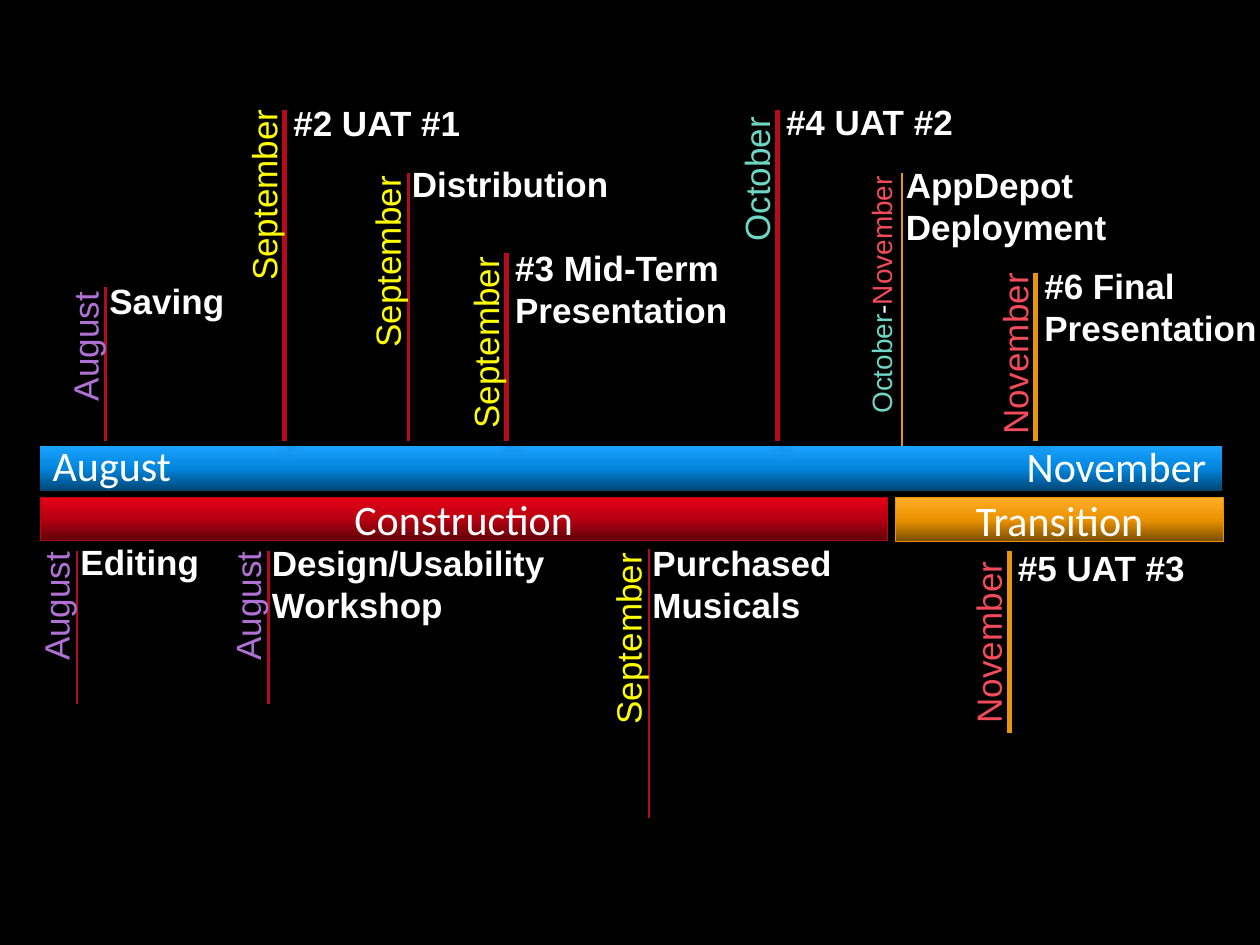
from pptx import Presentation, oxml, util as u
from pptx.dml.color import RGBColor
from pptx.enum import shapes, text
from pptx.oxml import ns

WIDTH, HEIGHT = 10, 7.5
COLORS = {
    "black": "000000", "white": "FFFFFF",
    "construction": "B50B1B", "transition": "E8950E",
    "construction edge": "B50717", "transition edge": "E89308",
    "August": "B070D4", "September": "FFFF00",
    "October": "6ED6C4", "November": "F44B5B", "-": "FFFFFF",
}
SOFT = {"alpha": 55, "blur": 7, "dist": 4, "angle": 35}
DEEP = {"alpha": 75, "blur": 10, "dist": 5, "angle": 90}
HEADING = {"name": "Calibri", "size": u.Pt(24)}
TITLE = {"name": "Arial", "size": u.Pt(20), "bold": True}
MONTH = {"name": "Arial", "size": u.Pt(20)}
SMALL_MONTH = {"name": "Arial", "size": u.Pt(16)}

BARS = [
    ("", (0.32, 3.54, 9.38, 0.36), ("014573", "0285DD", "1AA3FF"), None, DEEP),
    ("Construction", (0.32, 3.95, 6.72, 0.34), ("5F0009", "B70011", "E60016"),
     "construction edge", SOFT),
    ("Transition", (7.11, 3.95, 2.6, 0.35), ("7A4C00", "EB9200", "FFAD28"),
     "transition edge", SOFT),
]
RANGE_ENDS = [("August", 0.32, 3.44), ("November", 8.05, 3.45)]

# title, title top, title width, months, month top, month length, x, line top, line end, phase, major
MILESTONES = [
    ("Saving", 2.17, 1.47, ["August"], 2.22, 1.31, 0.84, 2.28, 3.5, "construction", False),
    ("Editing", 4.24, 1.47, ["August"], 4.28, 1.41, 0.61, 4.37, 5.59, "construction", False),
    ("#2 UAT #1", 0.76, 1.64, ["September"], 0.77, 1.63, 2.26, 0.87, 3.5, "construction", True),
    ("Distribution", 1.24, 1.83, ["September"], 1.3, 1.62, 3.24, 1.37, 3.5, "construction", False),
    ("Design/Usability Workshop", 4.25, 2.45, ["August"], 4.28, 1.07, 2.13, 4.37, 5.59,
     "construction", False),
    ("#3 Mid-Term Presentation", 1.91, 2.36, ["September"], 1.94, 1.65, 4.02, 2.01, 3.5,
     "construction", True),
    ("#4 UAT #2", 0.75, 1.73, ["October"], 0.83, 1.36, 6.17, 0.87, 3.5, "construction", True),
    ("Purchased Musicals", 4.25, 2, ["September"], 4.29, 1.66, 5.15, 4.36, 6.49,
     "construction", False),
    ("AppDepot Deployment", 1.25, 1.92, ["October", "-", "November"], 1.3, 2.24, 7.16, 1.37, 3.54,
     "transition", False),
    ("#5 UAT #3", 4.29, 1.72, ["November"], 4.36, 1.86, 8.01, 4.37, 5.82, "transition", True),
    ("#6 Final Presentation", 2.05, 2, ["November"], 2.07, 1.52, 8.22, 2.17, 3.5,
     "transition", True),
]


def inches(*lengths):
    return [u.Inches(length) for length in lengths]


def rgb(name):
    return RGBColor.from_string(COLORS[name])


def write(para, words, look, color="white"):
    span = para.add_run()
    span.text = words
    for key, value in look.items():
        setattr(span.font, key, value)
    span.font.color.rgb = rgb(color)


def add_box(place):
    box = page.shapes.add_textbox(*inches(*place))
    box.text_frame.word_wrap = True
    return box, box.text_frame.paragraphs[0]


def add_effects(shape, shadow=None):
    inner = ""
    if shadow:
        inner = (f'<a:outerShdw blurRad="{u.Pt(shadow["blur"])}" dist="{u.Pt(shadow["dist"])}" '
                 f'dir="{shadow["angle"] * 60000}" algn="ctr" rotWithShape="0">'
                 f'<a:srgbClr val="{COLORS["black"]}"><a:alpha val="{shadow["alpha"] * 1000}"/>'
                 '</a:srgbClr></a:outerShdw>')
    effects = f'<a:effectLst {ns.nsdecls("a")}>{inner}</a:effectLst>'
    shape._element.spPr.append(oxml.parse_xml(effects))


def fill_gradient(shape, tones):
    shape.fill.gradient()
    gradient = shape._element.spPr.find(ns.qn("a:gradFill"))
    stops = "".join(f'<a:gs pos="{index * 50000}"><a:srgbClr val="{tone}"/></a:gs>'
                    for index, tone in enumerate(tones))
    gradient.getparent().replace(gradient, oxml.parse_xml(
        f'<a:gradFill {ns.nsdecls("a")} rotWithShape="1"><a:gsLst>{stops}</a:gsLst>'
        '<a:lin ang="16200000" scaled="0"/></a:gradFill>'))


def add_bar(label, place, tones, edge, shadow):
    bar = page.shapes.add_shape(shapes.MSO_SHAPE.RECTANGLE, *inches(*place))
    fill_gradient(bar, tones)
    if edge:
        bar.line.color.rgb = rgb(edge)
        bar.line.width = u.Pt(0.5)
    else:
        bar.line.fill.background()
    add_effects(bar, shadow)
    if label:
        bar.text_frame.vertical_anchor = text.MSO_ANCHOR.MIDDLE
        para = bar.text_frame.paragraphs[0]
        para.alignment = text.PP_ALIGN.CENTER
        write(para, label, HEADING)


def add_milestone(title, title_top, title_width, months, month_top, length,
                  x, top, end, phase, major):
    line = page.shapes.add_connector(shapes.MSO_CONNECTOR.STRAIGHT, *inches(x, top, x, end))
    line.line.color.rgb = rgb(phase)
    line.line.width = u.Pt(2.75 if major else 1.5)
    add_effects(line, SOFT if major else None)

    single = len(months) == 1
    depth = 0.44 if single else 0.37
    box, para = add_box((x - 0.165 - length / 2, month_top + (length - depth) / 2, length, depth))
    box.rotation = 270
    para.alignment = text.PP_ALIGN.RIGHT
    for month in months:
        write(para, month, MONTH if single else SMALL_MONTH, month)

    title_height = 0.77 if " " in title and not title.endswith(("#1", "#2", "#3")) else 0.44
    box, para = add_box((x - (0.03 if major else 0.07), title_top, title_width, title_height))
    write(para, title, TITLE)


deck = Presentation()
deck.slide_width, deck.slide_height = inches(WIDTH, HEIGHT)
page = deck.slides.add_slide(deck.slide_layouts[6])
page.background.fill.solid()
page.background.fill.fore_color.rgb = rgb("black")
for bar_values in BARS:
    add_bar(*bar_values)
for name, left, top in RANGE_ENDS:
    box, para = add_box((left, top, 1.74, 0.5))
    write(para, name, HEADING)
for milestone in MILESTONES:
    add_milestone(*milestone)
deck.save("out.pptx")
